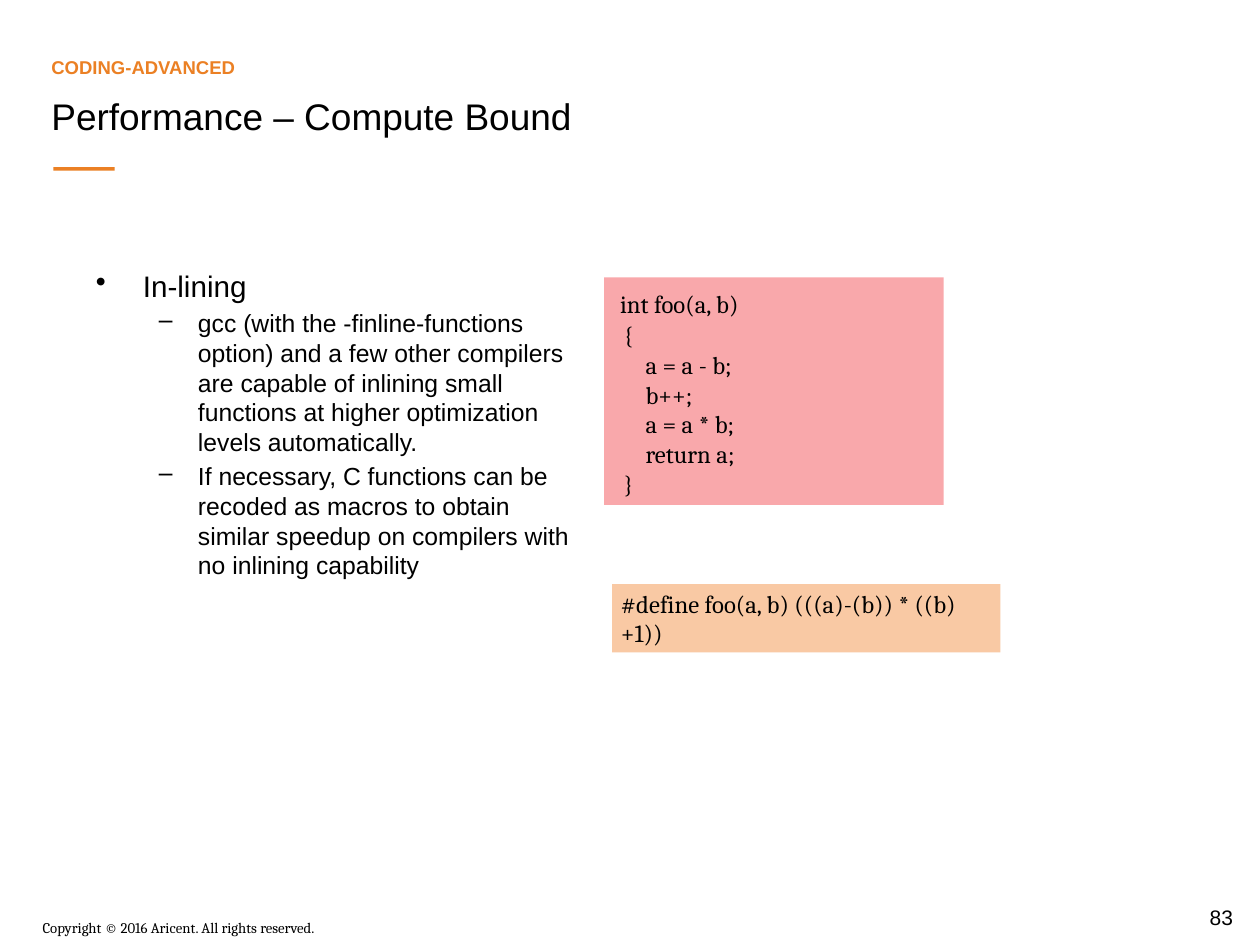
import pptx
import pptx.util
import pptx.dml.color
import pptx.enum.shapes
import pptx.enum.text
import pptx.oxml.ns
from lxml import etree

Inches = pptx.util.Inches
Pt = pptx.util.Pt
Anchor = pptx.enum.text.MSO_ANCHOR
Align = pptx.enum.text.PP_ALIGN

COLORS = {
    "text": "000000",
    "accent": "EB8024",
    "function": "F9A8AB",
    "macro": "F9C9A4",
}

BULLETS = [
    (0, "In-lining"),
    (1, "gcc (with the -finline-functions option) and a few other compilers "
        "are capable of inlining small functions at higher optimization "
        "levels automatically."),
    (1, "If necessary, C functions can be recoded as macros to obtain similar "
        "speedup on compilers with no inlining capability"),
]
# Per level: symbol, text size, left margin, hanging indent, space before
LEVELS = [("•", 24, 0.53, -0.53, 4.8), ("–", 20, 1.15, -0.44, 4)]

FUNCTION_CODE = """ int foo(a, b)
  {
      a = a - b;
      b++;
      a = a * b;
      return a;
  }"""
MACRO_CODE = "#define foo(a, b) (((a)-(b)) * ((b)+1))"


def color(name):
    return pptx.dml.color.RGBColor.from_string(COLORS[name])


def style(font, size, face="Arial", name="text", bold=False):
    font.size = Pt(size)
    font.name = face
    font.bold = bold
    font.color.rgb = color(name)


def add_text(page, box, text, size, face="Arial", name="text", bold=False,
             anchor=Anchor.TOP, align=Align.LEFT):
    frame = page.shapes.add_textbox(*map(Inches, box)).text_frame
    frame.word_wrap = True
    frame.vertical_anchor = anchor
    frame.text = text
    para = frame.paragraphs[0]
    para.alignment = align
    style(para.font, size, face, name, bold)


def add_panel(page, box, fill):
    panel = page.shapes.add_shape(
        pptx.enum.shapes.MSO_SHAPE.RECTANGLE, *map(Inches, box))
    panel.shadow.inherit = False
    panel.fill.solid()
    panel.fill.fore_color.rgb = color(fill)
    panel.line.fill.background()
    return panel


def add_header(page, box):
    left, top, width, height = box
    add_text(page, (left, top, width, 0.62), "CODING-ADVANCED", 15,
             name="accent", bold=True, anchor=Anchor.BOTTOM)
    add_text(page, (left, top + 0.69, width, 0.85),
             "Performance – Compute Bound", 30)
    add_panel(page, (left + 0.12, top + height - 0.04, 0.69, 0.04), "accent")


def add_bullets(page, box):
    frame = page.shapes.add_textbox(*map(Inches, box)).text_frame
    frame.word_wrap = True
    frame.text = "\n".join(text for level, text in BULLETS)
    for index, (para, (level, text)) in enumerate(zip(frame.paragraphs, BULLETS)):
        symbol, size, margin, indent, before = LEVELS[level]
        para.level = level
        para.space_before = Pt(before if index else 0)
        props = para._p.get_or_add_pPr()
        props.set("marL", str(Inches(margin)))
        props.set("indent", str(Inches(indent)))
        bullet = etree.SubElement(props, pptx.oxml.ns.qn("a:buChar"))
        bullet.set("char", symbol)
        style(para.font, size)


def add_code(page, box, code, fill):
    frame = add_panel(page, box, fill).text_frame
    frame.word_wrap = True
    frame.vertical_anchor = Anchor.TOP
    frame.text = code
    for para in frame.paragraphs:
        para.alignment = Align.LEFT
        style(para.font, 20, "Cambria")
    return frame


def add_examples(page, box):
    left, top, width, height = box
    frame = add_code(page, (left, top, 3.82, 2.56), FUNCTION_CODE, "function")
    # The first line starts with a larger space
    para = frame.paragraphs[0]
    para.text = " "
    para.runs[0].font.size = Pt(26)
    span = para.add_run()
    span.text = FUNCTION_CODE.splitlines()[0].strip()
    add_code(page, (left + 0.09, top + height - 0.77, width - 0.09, 0.77),
             MACRO_CODE, "macro")


def add_footer(page, box):
    left, top, width, height = box
    add_text(page, (left, top + 0.16, 7.09, 0.3),
             "Copyright © 2016 Aricent. All rights reserved.", 12, "Cambria")
    add_text(page, (left + width - 0.87, top, 0.87, 0.39), "83", 17,
             anchor=Anchor.MIDDLE, align=Align.CENTER)


def main():
    deck = pptx.Presentation()
    deck.slide_width, deck.slide_height = Inches(14.18), Inches(10.63)
    page = deck.slides.add_slide(deck.slide_layouts[6])
    add_header(page, (0.48, 0.31, 11.13, 1.61))
    add_bullets(page, (0.98, 2.96, 5.57, 5.95))
    add_examples(page, (6.8, 3.12, 4.46, 4.22))
    add_footer(page, (0.38, 10.12, 13.8, 0.46))
    deck.save("out.pptx")


if __name__ == "__main__":
    main()
